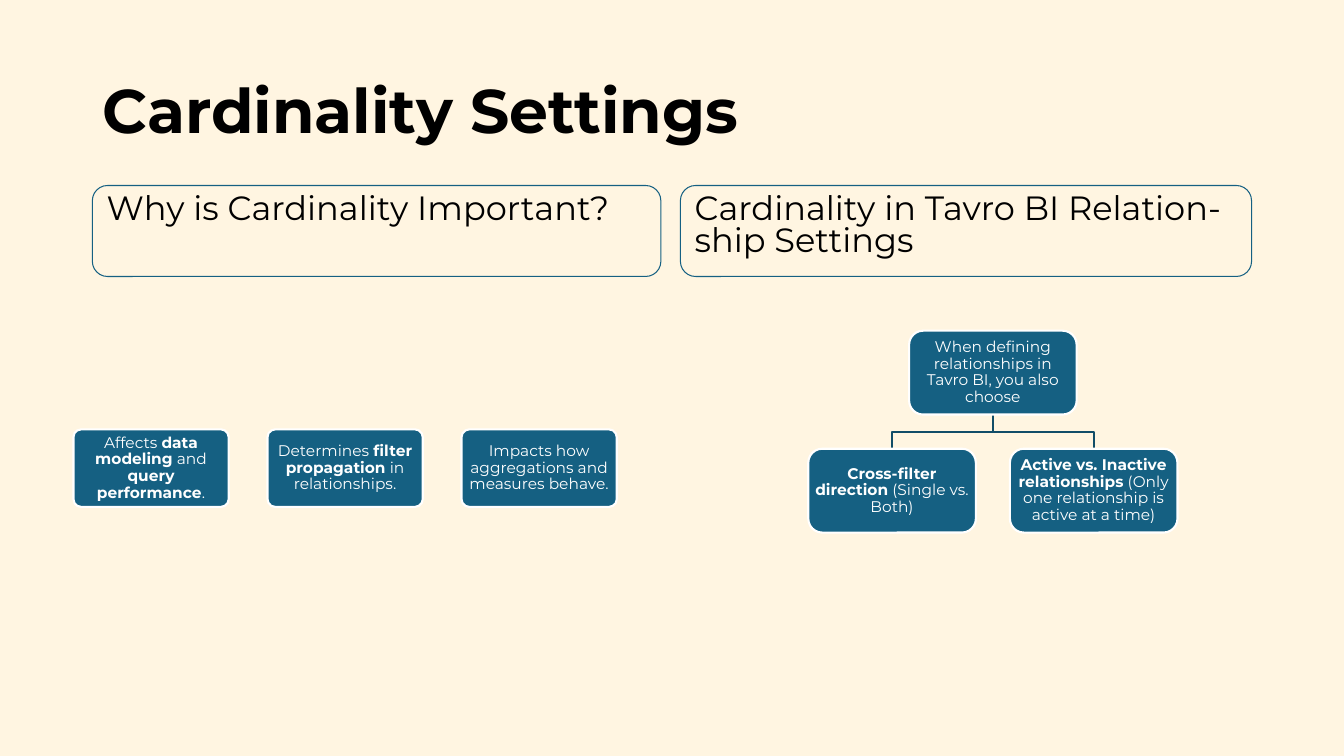
import dataclasses

import pptx
import pptx.dml.color
import pptx.enum.shapes
import pptx.enum.text
import pptx.util

Pt = pptx.util.Pt
Align = pptx.enum.text.PP_ALIGN
Anchor = pptx.enum.text.MSO_ANCHOR
Kind = pptx.enum.shapes.MSO_SHAPE


@dataclasses.dataclass(frozen=True)
class Theme:
    font: str = "Montserrat"
    paper: str = "FFF5E1"
    ink: str = "000000"
    fill: str = "156082"
    branch: str = "114D68"
    white: str = "FFFFFF"
    title: int = 44
    head: int = 24
    node: int = 11


THEME = Theme()


def color(code):
    return pptx.dml.color.RGBColor.from_string(code)


def write(shape, text, size, ink=THEME.ink, bold=False, align=Align.LEFT,
          anchor=Anchor.TOP, spacing=0.9, before=0, pad=(7.2, 3.6)):
    frame = shape.text_frame
    frame.word_wrap = True
    frame.vertical_anchor = anchor
    frame.margin_left = frame.margin_right = Pt(pad[0])
    frame.margin_top = frame.margin_bottom = Pt(pad[1])
    para = frame.paragraphs[0]
    para.alignment = align
    para.line_spacing = spacing
    para.space_before = Pt(before)
    for index, part in enumerate(text.split("*")):
        if part:
            run = para.add_run()
            run.text = part
            run.font.name = THEME.font
            run.font.size = Pt(size)
            run.font.bold = bold or index % 2 == 1
            run.font.color.rgb = color(ink)


def style(shape, line, width, fill=None):
    shape.shadow.inherit = False
    shape.line.color.rgb = color(line)
    shape.line.width = Pt(width)
    if fill:
        shape.fill.solid()
        shape.fill.fore_color.rgb = color(fill)
    else:
        shape.fill.background()


def panel(slide, box, round=0.1667):
    shape = slide.shapes.add_shape(Kind.ROUNDED_RECTANGLE, *map(Pt, box))
    shape.adjustments[0] = round
    return shape


def title(slide, text, box):
    shape = slide.shapes.add_textbox(*map(Pt, box))
    write(shape, text, THEME.title, bold=True, anchor=Anchor.MIDDLE)


def header(slide, text, box):
    shape = panel(slide, box)
    style(shape, THEME.fill, 0.75)
    write(shape, text, THEME.head, spacing=0.8, before=10)


def node(slide, text, box, round=0.1667, pad=0.8):
    shape = panel(slide, box, round)
    style(shape, THEME.white, 1.5, THEME.fill)
    write(shape, text, THEME.node, ink=THEME.white, align=Align.CENTER,
          anchor=Anchor.MIDDLE, pad=(pad, pad))


def branch(slide, start, end):
    middle = (start[1] + end[1]) / 2
    path = [(start[0], middle), (end[0], middle), end]
    draft = slide.shapes.build_freeform(Pt(start[0]), Pt(start[1]))
    draft.add_line_segments([(Pt(x), Pt(y)) for x, y in path], close=False)
    style(draft.convert_to_shape(), THEME.branch, 1.5)


def cards(slide, texts):
    left, top, step = 52.5, 306.7, 138.6
    for index, text in enumerate(texts):
        box = (left + index * step, top, 110.9, 55.4)
        node(slide, text, box, round=0.1, pad=1.5)


def tree(slide, root, leaves):
    center, top, drop = 709.2, 236.2, 84.3
    wide, high, step = 119.7, 59.9, 144
    first = center - step * (len(leaves) - 1) / 2
    mids = [first + index * step for index in range(len(leaves))]
    for mid in mids:
        branch(slide, (center, top + high), (mid, top + drop))
    node(slide, root, (center - wide / 2, top, wide, high))
    for mid, text in zip(mids, leaves):
        node(slide, text, (mid - wide / 2, top + drop, wide, high))


def main():
    deck = pptx.Presentation()
    deck.slide_width, deck.slide_height = Pt(960), Pt(540)
    slide = deck.slides.add_slide(deck.slide_layouts[6])
    slide.background.fill.solid()
    slide.background.fill.fore_color.rgb = color(THEME.paper)

    title(slide, "Cardinality Settings", (66, 28.8, 828, 104.4))
    header(slide, "Why is Cardinality Important?", (66, 132.5, 406.1, 65))
    cards(slide, [
        "Affects *data modeling* and *query performance*.",
        "Determines *filter propagation* in relationships.",
        "Impacts how aggregations and measures behave.",
    ])
    header(slide, "Cardinality in Tavro BI Relation-ship Settings",
           (486, 132.5, 408, 65))
    tree(slide, "When defining relationships in Tavro BI, you also choose", [
        "*Cross-filter direction* (Single vs. Both)",
        "*Active vs. Inactive relationships* "
        "(Only one relationship is active at a time)",
    ])
    deck.save("out.pptx")


if __name__ == "__main__":
    main()
